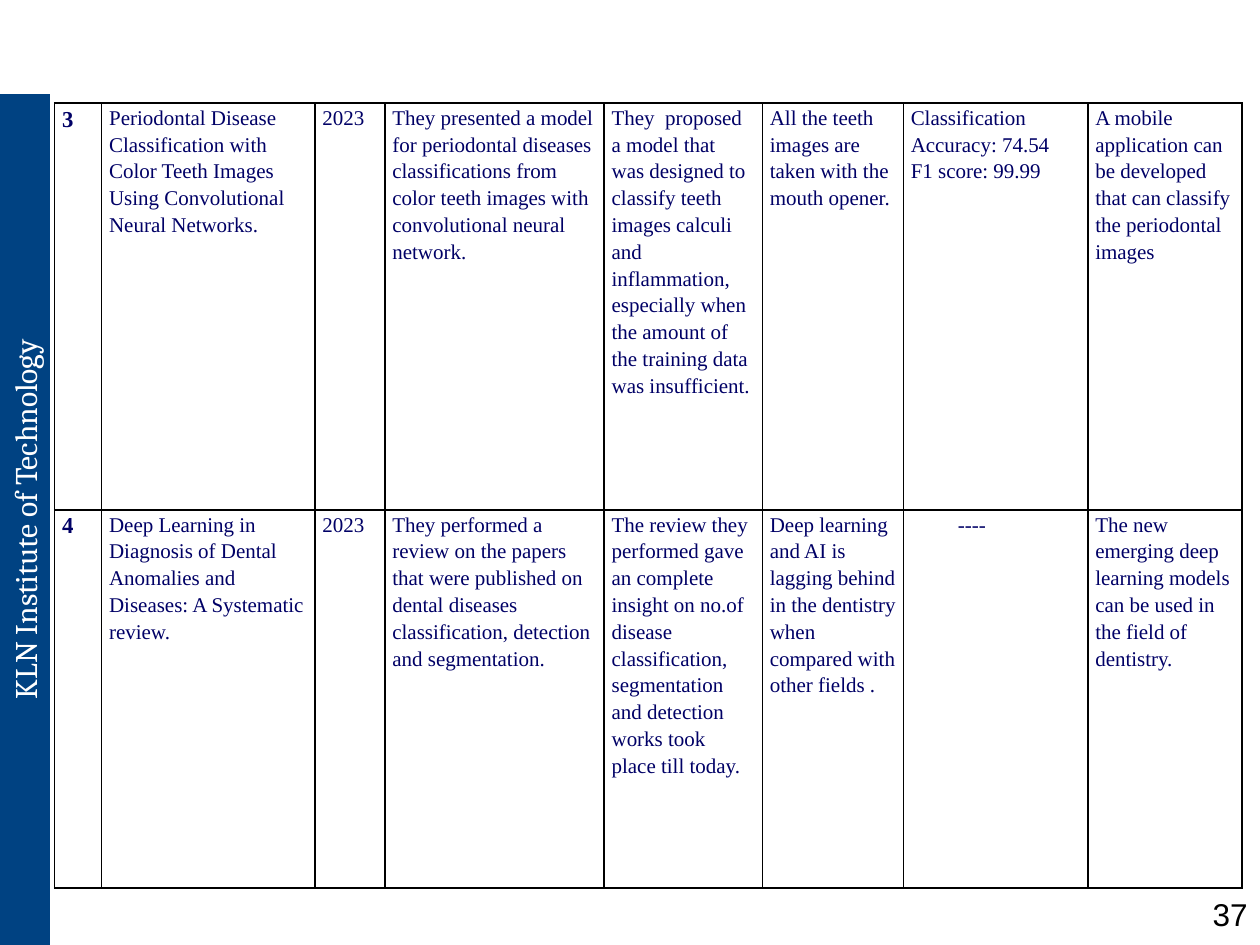
from lxml.etree import SubElement
from pptx import Presentation
from pptx.dml.color import RGBColor
from pptx.enum.shapes import MSO_SHAPE
from pptx.enum.text import MSO_ANCHOR, PP_ALIGN
from pptx.oxml.ns import qn
from pptx.util import Cm, Pt

SCHOOL = "KLN Institute of Technology"
PAGE = "37"
NAVY, BLUE, WHITE, BLACK = "000066", "004282", "FFFFFF", "000000"
SERIF = "Times New Roman"

COLS = [0.95, 4.3, 1.41, 4.42, 3.19, 2.84, 3.72, 3.11]
ROWS = [8.2, 7.62]
DASH = "----"
PAPERS = [
    ["3",
     "Periodontal Disease Classification with Color Teeth Images Using "
     "Convolutional Neural Networks.",
     "2023",
     "They presented a model for periodontal diseases classifications from "
     "color teeth images with convolutional neural network.",
     "They  proposed a model that  was designed to classify teeth images "
     "calculi and inflammation, especially when the amount of the training "
     "data was insufficient.",
     "All the teeth images are taken with the mouth opener.",
     "Classification Accuracy: 74.54\nF1 score: 99.99",
     "A mobile application can be developed that can classify the "
     "periodontal images"],
    ["4",
     "Deep Learning in Diagnosis of Dental Anomalies and Diseases: "
     "A Systematic review.",
     "2023",
     "They performed a review on the papers that were published on dental "
     "diseases classification, detection and segmentation.",
     "The review they performed gave an complete insight on no.of disease "
     "classification, segmentation and detection works took place till today.",
     "Deep learning and AI is lagging behind in the dentistry when compared "
     "with other fields .",
     DASH,
     "The new emerging deep learning models can be used in the field of "
     "dentistry."],
]


def color(code):
    return RGBColor.from_string(code)


def write(frame, text, font=SERIF, size=12, ink=NAVY, bold=False,
          align=PP_ALIGN.LEFT, space=1.0, indent=0):
    """Fill a text frame, one paragraph for each line of text."""
    frame.word_wrap = True
    for i, line in enumerate(text.split("\n")):
        para = frame.add_paragraph() if i else frame.paragraphs[0]
        para.alignment, para.line_spacing = align, space
        if indent:
            para._p.get_or_add_pPr().set("marL", str(Cm(indent)))
        run = para.add_run()
        run.text = line
        run.font.name, run.font.size, run.font.bold = font, Pt(size), bold
        run.font.color.rgb = color(ink)


def frame_cell(cell):
    """Draw a thin black line on all four sides of a cell."""
    props = cell._tc.get_or_add_tcPr()
    for i, side in enumerate(("lnL", "lnR", "lnT", "lnB")):
        line = props.makeelement(qn("a:" + side), {"w": str(Pt(1))})
        fill = SubElement(line, qn("a:solidFill"))
        SubElement(fill, qn("a:srgbClr"), val=BLACK)
        props.insert(i, line)


def add_bar(slide):
    wide, high = 17.15, 1.02
    bar = slide.shapes.add_shape(MSO_SHAPE.RECTANGLE, Cm(-8.08), Cm(9.96),
                                 Cm(wide), Cm(high))
    bar.rotation = 270
    bar.shadow.inherit = False
    bar.fill.solid()
    bar.fill.fore_color.rgb = color(BLUE)
    bar.line.fill.background()
    bar.text_frame.vertical_anchor = MSO_ANCHOR.MIDDLE
    write(bar.text_frame, SCHOOL, font="Cambria", size=18, ink=WHITE,
          align=PP_ALIGN.CENTER)


def add_papers(slide):
    table = slide.shapes.add_table(len(ROWS), len(COLS), Cm(1.1), Cm(2.08),
                                   Cm(sum(COLS)), Cm(sum(ROWS))).table
    table.first_row = table.horz_banding = False
    for col, wide in zip(table.columns, COLS):
        col.width = Cm(wide)
    for r, (high, paper) in enumerate(zip(ROWS, PAPERS)):
        table.rows[r].height = Cm(high)
        for c, text in enumerate(paper):
            cell = table.cell(r, c)
            cell.margin_left = cell.margin_right = Cm(0.15)
            cell.margin_top = cell.margin_bottom = 0
            cell.fill.background()
            frame_cell(cell)
            look = {"size": 13, "bold": True,
                    "align": PP_ALIGN.JUSTIFY} if c == 0 else {}
            write(cell.text_frame, text, space=1.15,
                  indent=0.95 if text == DASH else 0, **look)


def add_page(slide):
    box = slide.shapes.add_textbox(Cm(20.12), Cm(17.91), Cm(5.28), Cm(0.86))
    write(box.text_frame, PAGE, font="Arial", size=18, ink=BLACK,
          align=PP_ALIGN.RIGHT)


def main():
    deck = Presentation()
    deck.slide_width, deck.slide_height = Cm(25.4), Cm(19.05)
    slide = deck.slides.add_slide(deck.slide_layouts[6])
    add_bar(slide)
    add_papers(slide)
    add_page(slide)
    deck.save("out.pptx")


if __name__ == "__main__":
    main()
